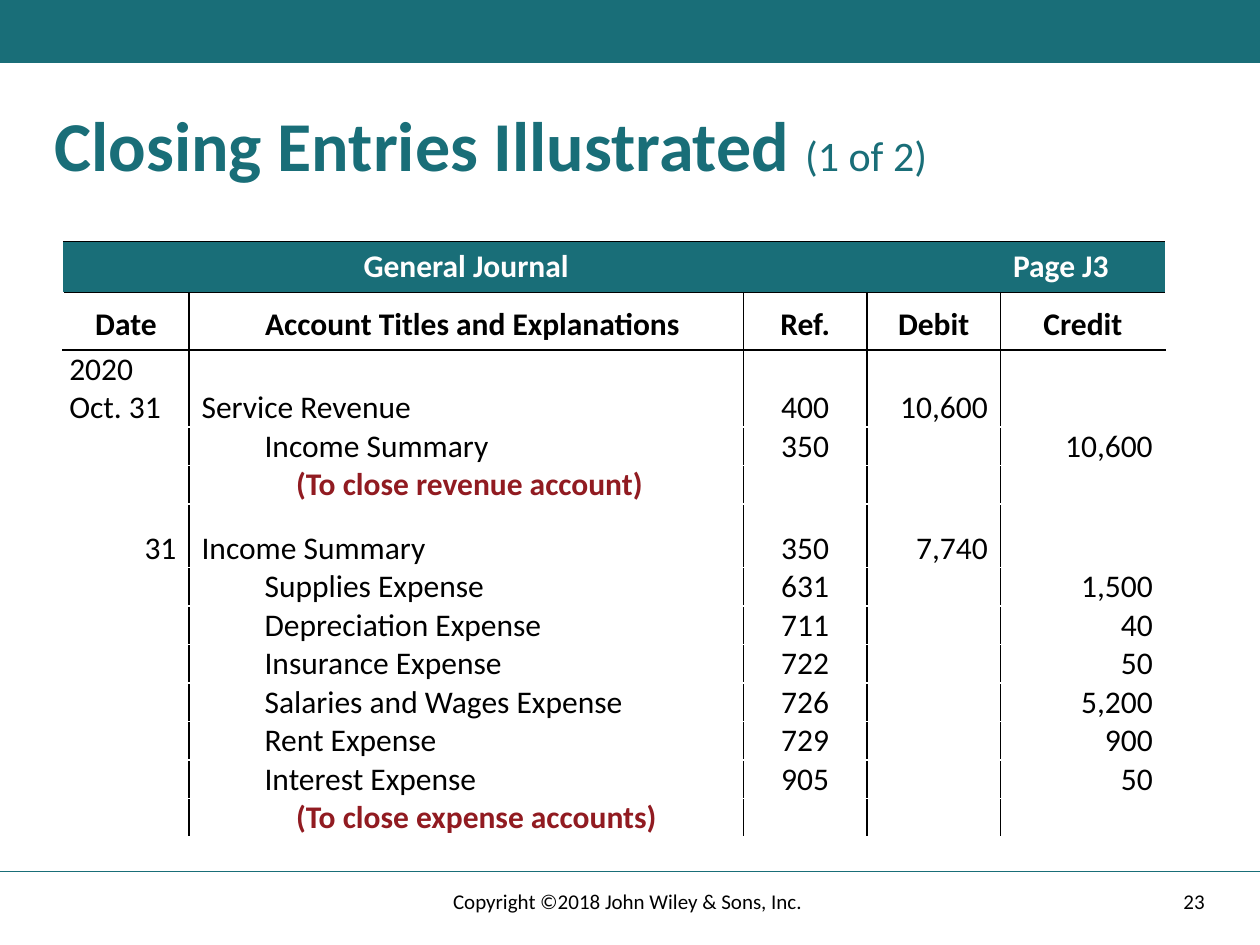
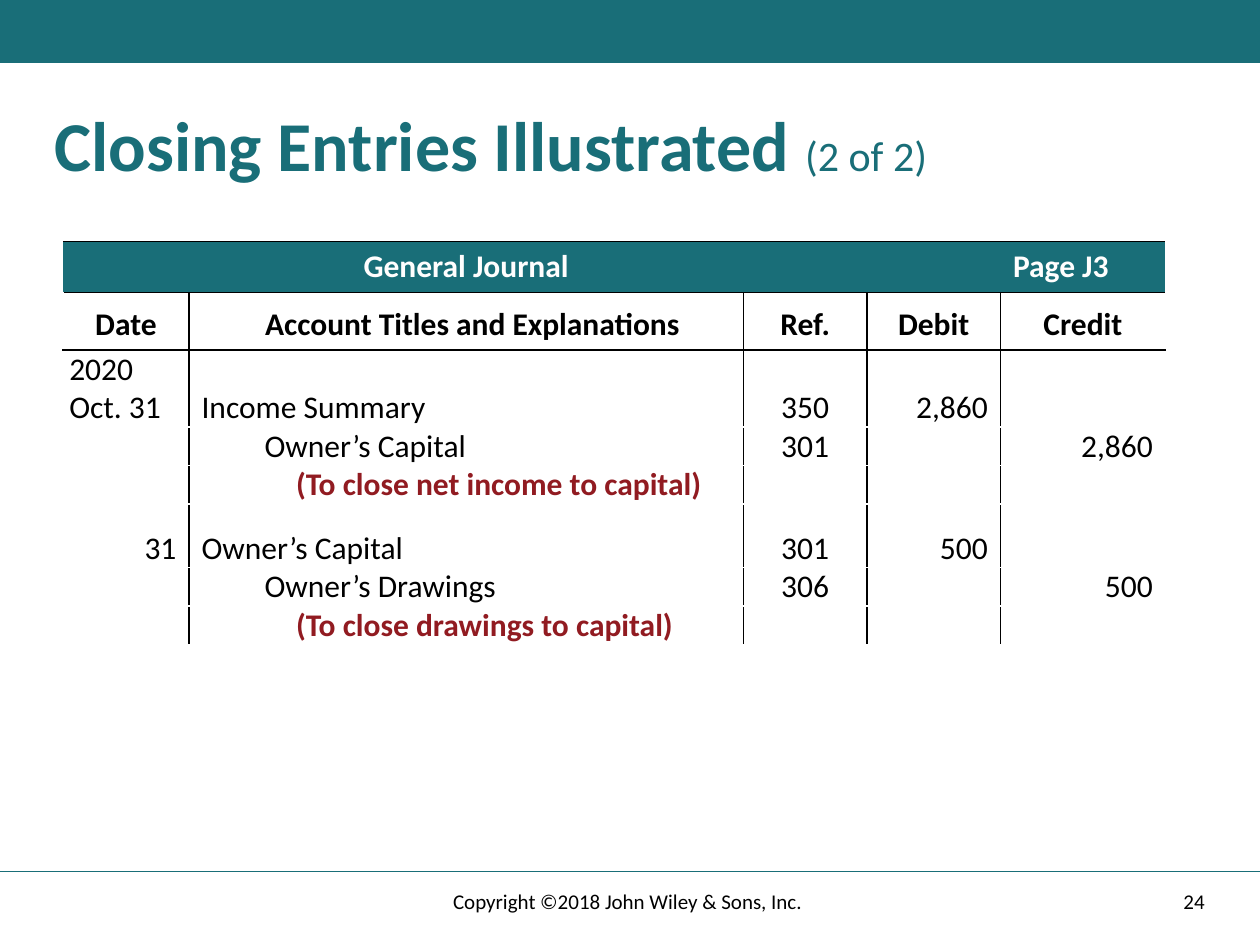
from lxml.etree import SubElement
from pptx import Presentation
from pptx.dml.color import RGBColor
from pptx.enum.shapes import MSO_CONNECTOR, MSO_SHAPE
from pptx.enum.text import MSO_ANCHOR, PP_ALIGN
from pptx.oxml.ns import qn
from pptx.util import Pt

TEAL, BLACK, WHITE, RED = "196E78", "000000", "FFFFFF", "911B21"
HEADER_TEXT = "FFFEFE"
FONT = "Calibri"
SLIDE_WIDTH, SLIDE_HEIGHT = 720, 540
LEFT, CENTER, RIGHT = PP_ALIGN.LEFT, PP_ALIGN.CENTER, PP_ALIGN.RIGHT

# Journal geometry, in points; insets are left, top, right, bottom
COLUMN_WIDTHS = [72, 316.8, 70.6, 76.3, 94.3]
BANNER_HEIGHT, HEADING_HEIGHT, LINE_HEIGHT, ENTRY_GAP = 29.2, 32.8, 22, 14.4
BANNER_INSETS = (7.2, 3.6, 7.2, 3.6)
LEVEL_INDENT = {0: 0, 1: 36, 2: 54}
COLUMN_ALIGNMENTS = [LEFT, LEFT, CENTER, RIGHT, RIGHT]
COLUMN_SIDE_INSETS = [(3.6, 7.2), (7.2, 0), (0, 0), (0, 7.2), (0, 7.2)]

BANNER = ["", "General Journal", "", "", "Page J3"]
HEADINGS = ["Date", "Account Titles and Explanations", "Ref.", "Debit", "Credit"]

# Journal lines: date, account, indent level, reference, debit, credit
REVENUE_AND_EXPENSES = [
    ("2020\nOct. 31", "Service Revenue", 0, "400", "10,600", ""),
    ("", "Income Summary", 1, "350", "", "10,600"),
    ("", "(To close revenue account)", 2, "", "", ""),
    ("31", "Income Summary", 0, "350", "7,740", ""),
    ("", "Supplies Expense", 1, "631", "", "1,500"),
    ("", "Depreciation Expense", 1, "711", "", "40"),
    ("", "Insurance Expense", 1, "722", "", "50"),
    ("", "Salaries and Wages Expense", 1, "726", "", "5,200"),
    ("", "Rent Expense", 1, "729", "", "900"),
    ("", "Interest Expense", 1, "905", "", "50"),
    ("", "(To close expense accounts)", 2, "", "", ""),
]
INCOME_AND_DRAWINGS = [
    ("2020\nOct. 31", "Income Summary", 0, "350", "2,860", ""),
    ("", "Owner’s Capital", 1, "301", "", "2,860"),
    ("", "(To close net income to capital)", 2, "", "", ""),
    ("31", "Owner’s Capital", 0, "301", "500", ""),
    ("", "Owner’s Drawings", 1, "306", "", "500"),
    ("", "(To close drawings to capital)", 2, "", "", ""),
]


def rgb(color):
    return RGBColor.from_string(color)


def format_run(run, size, color, bold=False):
    run.font.name = FONT
    run.font.size = Pt(size)
    run.font.bold = bold
    run.font.color.rgb = rgb(color)


def add_band(slide):
    band = slide.shapes.add_shape(MSO_SHAPE.RECTANGLE, 0, 0, Pt(SLIDE_WIDTH), Pt(36))
    band.shadow.inherit = False
    band.fill.solid()
    band.fill.fore_color.rgb = rgb(TEAL)
    band.line.fill.background()


def add_footer_rule(slide):
    y = Pt(498)
    rule = slide.shapes.add_connector(MSO_CONNECTOR.STRAIGHT, 0, y, Pt(SLIDE_WIDTH), y)
    rule.line.color.rgb = rgb(TEAL)
    rule.line.width = Pt(1)
    SubElement(rule._element.spPr, qn("a:effectLst"))


def add_footer_text(slide, text, left, width, alignment):
    box = slide.shapes.add_textbox(Pt(left), Pt(500.4), Pt(width), Pt(28.8))
    text_frame = box.text_frame
    text_frame.word_wrap = True
    text_frame.vertical_anchor = MSO_ANCHOR.MIDDLE
    text_frame.text = text
    paragraph = text_frame.paragraphs[0]
    paragraph.alignment = alignment
    format_run(paragraph.runs[0], 12, BLACK)


def set_title(slide, text, part):
    title = slide.shapes.title
    title.left, title.top, title.width, title.height = Pt(24), Pt(60), Pt(672), Pt(50)
    text_frame = title.text_frame
    text_frame.word_wrap = True
    text_frame.vertical_anchor = MSO_ANCHOR.TOP
    text_frame.text = text + " "
    paragraph = text_frame.paragraphs[0]
    paragraph.alignment = LEFT
    paragraph.line_spacing = 0.9
    format_run(paragraph.runs[0], 40, TEAL, bold=True)
    part_run = paragraph.add_run()
    part_run.text = part
    format_run(part_run, 24, TEAL)


def set_borders(cell, left, right, top, bottom):
    """Draw the four cell borders; None leaves a side without a line."""
    properties = cell._tc.get_or_add_tcPr()
    sides = {"a:lnL": left, "a:lnR": right, "a:lnT": top, "a:lnB": bottom}
    for tag, color in sides.items():
        line = SubElement(properties, qn(tag), w=str(Pt(1)))
        if color is None:
            SubElement(line, qn("a:noFill"))
        else:
            SubElement(SubElement(line, qn("a:solidFill")), qn("a:srgbClr"), val=color)


def fill_cell(cell, text, insets, alignment=LEFT, color=BLACK, bold=False,
              anchor=MSO_ANCHOR.BOTTOM, level=0):
    cell.margin_left, cell.margin_top, cell.margin_right, cell.margin_bottom = map(Pt, insets)
    cell.vertical_anchor = anchor
    cell.text_frame.text = text
    for paragraph in cell.text_frame.paragraphs:
        paragraph.alignment = alignment
        if level:
            paragraph.level = level
            paragraph._p.get_or_add_pPr().set("marL", str(Pt(LEVEL_INDENT[level])))
        for run in paragraph.runs:
            format_run(run, 18, color, bold)


def fill_banner(table):
    for column, text in enumerate(BANNER):
        cell = table.cell(0, column)
        set_borders(cell, None, None, BLACK, BLACK)
        cell.fill.solid()
        cell.fill.fore_color.rgb = rgb(TEAL)
        fill_cell(cell, text, BANNER_INSETS, CENTER if column == 1 else LEFT,
                  HEADER_TEXT, bold=True, anchor=MSO_ANCHOR.TOP)


def rule_body(table):
    """Black lines between columns and around the headings, white elsewhere."""
    last_column = len(COLUMN_WIDTHS) - 1
    for row in range(1, len(table.rows)):
        for column in range(len(COLUMN_WIDTHS)):
            cell = table.cell(row, column)
            set_borders(cell,
                        left=BLACK if column > 0 else WHITE,
                        right=BLACK if column < last_column else WHITE,
                        top=BLACK if row <= 2 else WHITE,
                        bottom=BLACK if row == 1 else WHITE)
            cell.fill.background()


def fill_journal_line(table, row, journal_line):
    date, account, level, reference, debit, credit = journal_line
    starts_new_entry = bool(date) and row > 2
    top = ENTRY_GAP if starts_new_entry else 0
    line_count = date.count("\n") + 1
    table.rows[row].height = Pt(LINE_HEIGHT * line_count + top)
    for column, text in enumerate([date, account, reference, debit, credit]):
        left, right = COLUMN_SIDE_INSETS[column]
        alignment = COLUMN_ALIGNMENTS[column]
        if column == 0 and starts_new_entry:
            alignment = RIGHT
        is_account = column == 1
        is_explanation = is_account and level == 2
        fill_cell(table.cell(row, column), text, (left, top, right, 0), alignment,
                  color=RED if is_explanation else BLACK, bold=is_explanation,
                  level=level if is_account else 0)


def add_journal(slide, journal_lines):
    frame = slide.shapes.add_table(len(journal_lines) + 2, len(COLUMN_WIDTHS), Pt(36), Pt(138),
                                   Pt(sum(COLUMN_WIDTHS)), Pt(LINE_HEIGHT))
    table = frame.table
    table.first_row = table.horz_banding = False
    for column, width in zip(table.columns, COLUMN_WIDTHS):
        column.width = Pt(width)

    table.rows[0].height = Pt(BANNER_HEIGHT)
    table.rows[1].height = Pt(HEADING_HEIGHT)
    fill_banner(table)
    rule_body(table)
    for column, heading in enumerate(HEADINGS):
        left = 7.2 if column == 1 else 0
        fill_cell(table.cell(1, column), heading, (left, 7.2, 0, 3.6), CENTER, bold=True)
    for row, journal_line in enumerate(journal_lines, start=2):
        fill_journal_line(table, row, journal_line)
    frame.height = sum(row.height for row in table.rows)


def add_journal_slide(presentation, part, journal_lines, number):
    slide = presentation.slides.add_slide(presentation.slide_layouts[5])
    add_band(slide)
    add_footer_rule(slide)
    set_title(slide, "Closing Entries Illustrated", part)
    add_journal(slide, journal_lines)
    add_footer_text(slide, str(number), 508.3, 187.2, RIGHT)
    add_footer_text(slide, "Copyright ©2018 John Wiley & Sons, Inc. ", 238.3, 243.4, CENTER)


def main():
    presentation = Presentation()
    presentation.slide_width, presentation.slide_height = Pt(SLIDE_WIDTH), Pt(SLIDE_HEIGHT)
    add_journal_slide(presentation, "(1 of 2)", REVENUE_AND_EXPENSES, 23)
    add_journal_slide(presentation, "(2 of 2)", INCOME_AND_DRAWINGS, 24)
    presentation.save("out.pptx")


if __name__ == "__main__":
    main()
